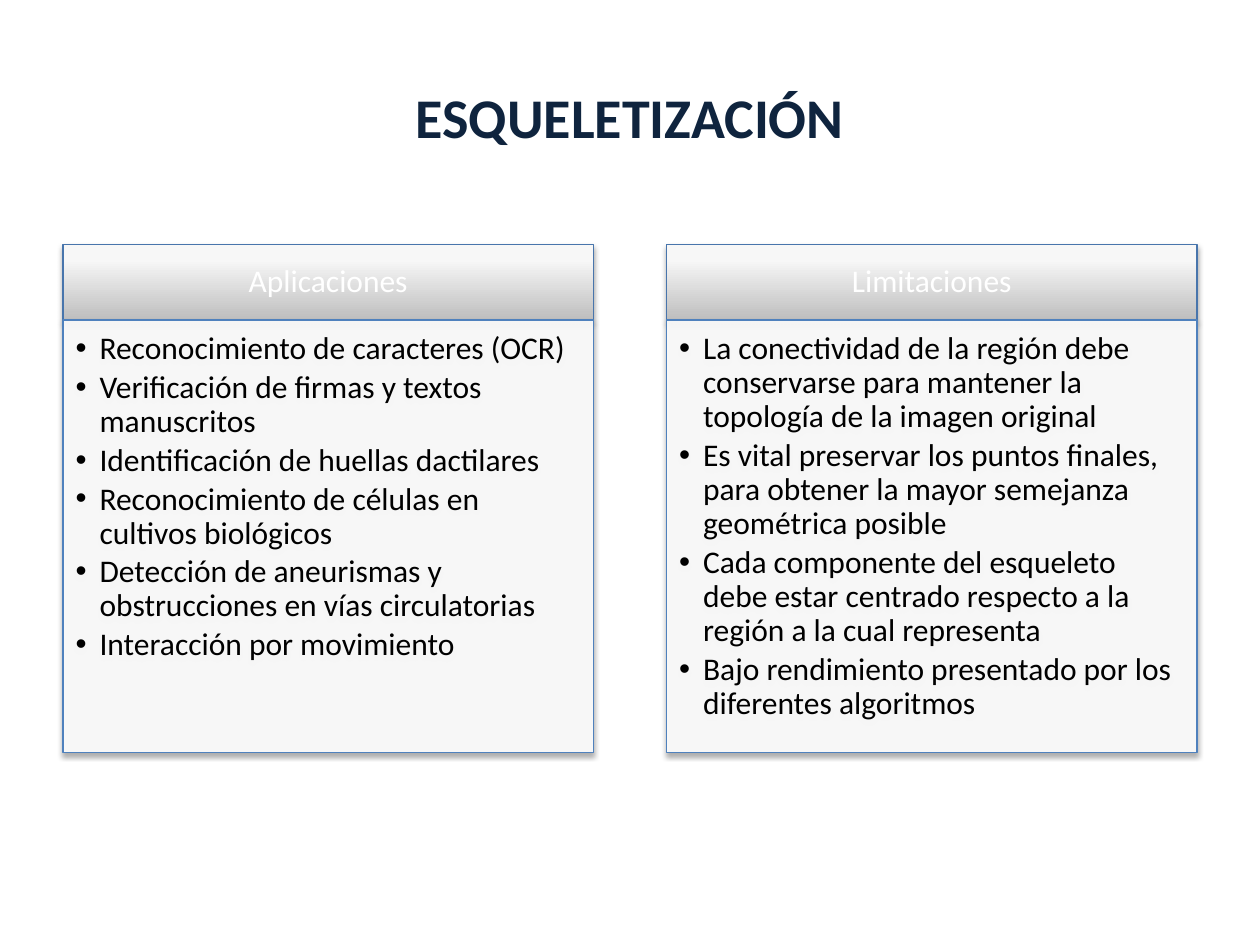
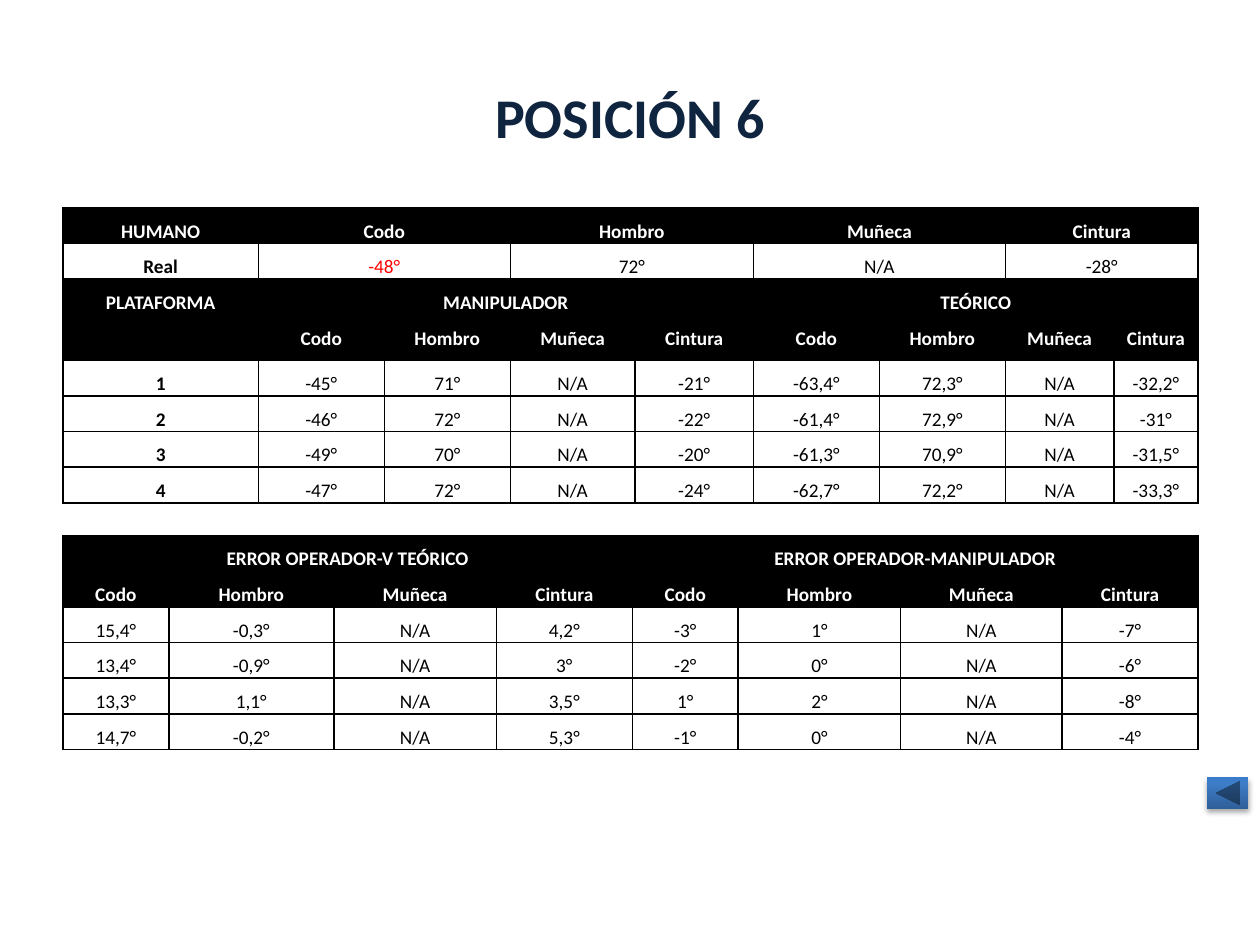
from lxml import etree
from pptx import Presentation
from pptx.dml.color import RGBColor
from pptx.enum.shapes import MSO_SHAPE
from pptx.enum.text import MSO_ANCHOR, MSO_AUTO_SIZE, PP_ALIGN
from pptx.oxml import parse_xml
from pptx.oxml.ns import qn
from pptx.util import Inches, Pt

CENTER, LEFT = PP_ALIGN.CENTER, PP_ALIGN.LEFT
TOP, MIDDLE = MSO_ANCHOR.TOP, MSO_ANCHOR.MIDDLE
NO_AUTOFIT = MSO_AUTO_SIZE.NONE
BACK_BUTTON = MSO_SHAPE.ACTION_BUTTON_BACK_OR_PREVIOUS

NAVY = RGBColor(0x0F, 0x24, 0x3E)
BLACK = RGBColor(0, 0, 0)
WHITE = RGBColor(255, 255, 255)
RED = RGBColor(255, 0, 0)
HEADER_EDGE = RGBColor(0x48, 0x75, 0xAC)
LIST_EDGE = RGBColor(0x4F, 0x81, 0xBD)
GRAY_STOPS = [(0, "BEBEBE"), (80, "F7F7F7"), (100, "F8F8F8")]
BLUE_STOPS = [(0, "2F5F99"), (80, "3D7CC7"), (100, "3A7CCB")]
SHEER_WHITE = '<a:solidFill {ns}><a:srgbClr val="FFFFFF"><a:alpha val="90000"/></a:srgbClr></a:solidFill>'
GRADIENT = '<a:gradFill {ns} rotWithShape="1"><a:gsLst>' + "{stops}" + '</a:gsLst><a:lin ang="16200000" scaled="0"/></a:gradFill>'
SHADOW = ('<a:effectLst {ns}><a:outerShdw blurRad="40000" dist="23000" dir="5400000" rotWithShape="0">'
          '<a:srgbClr val="000000"><a:alpha val="35000"/></a:srgbClr></a:outerShdw></a:effectLst>')
NS = 'xmlns:a="http://schemas.openxmlformats.org/drawingml/2006/main"'
FONT = "Calibri"


def decorate(shape, stops, edge):
    """Give a shape a vertical gradient (or sheer white without stops), an edge and a soft shadow."""
    if stops:
        stop_xml = "".join(f'<a:gs pos="{pos * 1000}"><a:srgbClr val="{color}"/></a:gs>' for pos, color in stops)
        fill_xml = GRADIENT.format(ns=NS, stops=stop_xml)
    else:
        fill_xml = SHEER_WHITE.format(ns=NS)
    properties = shape._element.spPr
    properties.append(parse_xml(fill_xml))
    if edge is None:
        shape.line.fill.background()
    else:
        shape.line.color.rgb = edge
        shape.line.width = Pt(0.75)
    properties.append(parse_xml(SHADOW.format(ns=NS)))


def write(paragraph, text, size, color, bold=False, align=CENTER):
    paragraph.alignment = align
    run = paragraph.add_run()
    run.text = text
    run.font.name, run.font.size = FONT, Pt(size)
    run.font.color.rgb, run.font.bold = color, bold


prs = Presentation()
prs.slide_width, prs.slide_height = Inches(10), Inches(7.5)
COMPARISON, TITLE_ONLY = prs.slide_layouts[4], prs.slide_layouts[5]

skeleton_slide = prs.slides.add_slide(COMPARISON)
position_slide = prs.slides.add_slide(TITLE_ONLY)
for slide, heading in [(skeleton_slide, "ESQUELETIZACIÓN"), (position_slide, "POSICIÓN 6")]:
    title = slide.shapes.title
    title.left, title.top, title.width, title.height = Inches(0.5), Inches(0.3), Inches(9), Inches(1.25)
    title.text_frame.vertical_anchor = MIDDLE
    write(title.text_frame.paragraphs[0], heading, 32, NAVY, True)

# Slide 1: two headed lists
COLUMNS = [
    ("Aplicaciones", [
        "Reconocimiento de caracteres (OCR)",
        "Verificación de firmas y textos manuscritos",
        "Identificación de huellas dactilares",
        "Reconocimiento de células en cultivos biológicos",
        "Detección de aneurismas y obstrucciones en vías circulatorias",
        "Interacción por movimiento",
    ]),
    ("Limitaciones", [
        "La conectividad de la región debe conservarse para mantener la topología de la imagen original",
        "Es vital preservar los puntos finales, para obtener la mayor semejanza geométrica posible",
        "Cada componente del esqueleto debe estar centrado respecto a la región a la cual representa",
        "Bajo rendimiento presentado por los diferentes algoritmos",
    ]),
]
for number, (heading, items) in enumerate(COLUMNS):
    header = skeleton_slide.placeholders[1 + 2 * number]
    listing = skeleton_slide.placeholders[2 + 2 * number]
    parts = [
        (header, 1.94, 0.6, GRAY_STOPS, HEADER_EDGE, MIDDLE, (0.14, 0.08, 0.14, 0.08)),
        (listing, 2.54, 3.43, None, LIST_EDGE, TOP, (0.1, 0.1, 0.14, 0.16)),
    ]
    for box, top, height, stops, edge, anchor, insets in parts:
        box.left, box.top = Inches(0.5 + 4.79 * number), Inches(top)
        box.width, box.height = Inches(4.21), Inches(height)
        decorate(box, stops, edge)
        frame = box.text_frame
        frame.auto_size, frame.word_wrap, frame.vertical_anchor = NO_AUTOFIT, True, anchor
        (frame.margin_left, frame.margin_top,
         frame.margin_right, frame.margin_bottom) = map(Inches, insets)

    caption = header.text_frame.paragraphs[0]
    caption.line_spacing, caption.space_before = 0.9, Pt(0)
    write(caption, heading, 18, WHITE)
    for index, item in enumerate(items):
        frame = listing.text_frame
        entry = frame.add_paragraph() if index else frame.paragraphs[0]
        properties = entry._p.get_or_add_pPr()
        properties.set("marL", str(Inches(0.19)))
        properties.set("indent", str(-Inches(0.19)))
        etree.SubElement(properties, qn("a:buChar"), char="•")
        entry.line_spacing, entry.space_before, entry.space_after = 0.9, Pt(0), Pt(2.7)
        write(entry, item, 18, BLACK, align=LEFT)

# Slide 2: measured angles and errors
JOINTS = ["Codo", "Hombro", "Muñeca", "Cintura"]
ANGLES = [
    ["HUMANO", "Codo", "", "Hombro", "", "Muñeca", "", "Cintura", ""],
    ["Real", "-48°", "", "72°", "", "N/A", "", "-28°", ""],
    ["PLATAFORMA", "MANIPULADOR", "", "", "", "TEÓRICO", "", "", ""],
    ["", *JOINTS, *JOINTS],
    ["1", "-45°", "71°", "N/A", "-21°", "-63,4°", "72,3°", "N/A", "-32,2°"],
    ["2", "-46°", "72°", "N/A", "-22°", "-61,4°", "72,9°", "N/A", "-31°"],
    ["3", "-49°", "70°", "N/A", "-20°", "-61,3°", "70,9°", "N/A", "-31,5°"],
    ["4", "-47°", "72°", "N/A", "-24°", "-62,7°", "72,2°", "N/A", "-33,3°"],
]
ERRORS = [
    ["ERROR OPERADOR-V TEÓRICO", "", "", "", "ERROR OPERADOR-MANIPULADOR", "", "", ""],
    [*JOINTS, *JOINTS],
    ["15,4°", "-0,3°", "N/A", "4,2°", "-3°", "1°", "N/A", "-7°"],
    ["13,4°", "-0,9°", "N/A", "3°", "-2°", "0°", "N/A", "-6°"],
    ["13,3°", "1,1°", "N/A", "3,5°", "1°", "2°", "N/A", "-8°"],
    ["14,7°", "-0,2°", "N/A", "5,3°", "-1°", "0°", "N/A", "-4°"],
]
ANGLE_WIDTHS = [1.55, 1, 1, 0.99, 0.94, 1, 1, 0.86, 0.67]
ERROR_WIDTHS = [0.84, 1.31, 1.29, 1.08, 0.84, 1.29, 1.28, 1.08]
# Merged areas: first row, first column, last row, last column
ANGLE_MERGES = [(row, col, row, col + 1) for row in (0, 1) for col in (1, 3, 5, 7)]
ANGLE_MERGES += [(2, 0, 3, 0), (2, 1, 2, 4), (2, 5, 2, 8)]
ERROR_MERGES = [(0, 0, 0, 3), (0, 4, 0, 7)]
TABLES = [
    (1.65, ANGLES, ANGLE_WIDTHS, ANGLE_MERGES, {0, 2, 3}, True),
    (4.25, ERRORS, ERROR_WIDTHS, ERROR_MERGES, {0, 1}, False),
]
for top, rows, widths, merges, header_rows, has_labels in TABLES:
    table = position_slide.shapes.add_table(
        len(rows), len(widths), Inches(0.5), Inches(top), Inches(9), Inches(0.28 * len(rows))).table
    table.first_row = table.horz_banding = False
    for column, width in zip(table.columns, widths):
        column.width = Inches(width)
    for r, values in enumerate(rows):
        table.rows[r].height = Inches(0.36 if rows is ANGLES and r == 3 else 0.28)
        for c, value in enumerate(values):
            cell = table.cell(r, c)
            cell.margin_left = cell.margin_right = Inches(0.07)
            cell.margin_top = cell.margin_bottom = 0
            for side in ("lnL", "lnR", "lnT", "lnB"):
                cell._tc.get_or_add_tcPr().append(parse_xml(
                    f'<a:{side} {NS} w="12700"><a:solidFill><a:srgbClr val="{BLACK}"/></a:solidFill></a:{side}>'))
            is_header = r in header_rows
            if is_header:
                cell.fill.solid()
                cell.fill.fore_color.rgb = BLACK
            else:
                cell.fill.background()
            if value:
                color = WHITE if is_header else RED if value == "-48°" else BLACK
                line = cell.text_frame.paragraphs[0]
                line.line_spacing = 1.5
                write(line, value, 11, color, is_header or (has_labels and c == 0))
    for first_row, first_col, last_row, last_col in merges:
        table.cell(first_row, first_col).merge(table.cell(last_row, last_col))

back = position_slide.shapes.add_shape(BACK_BUTTON, Inches(9.58), Inches(6.17), Inches(0.33), Inches(0.25))
decorate(back, BLUE_STOPS, None)

prs.save("out.pptx")
